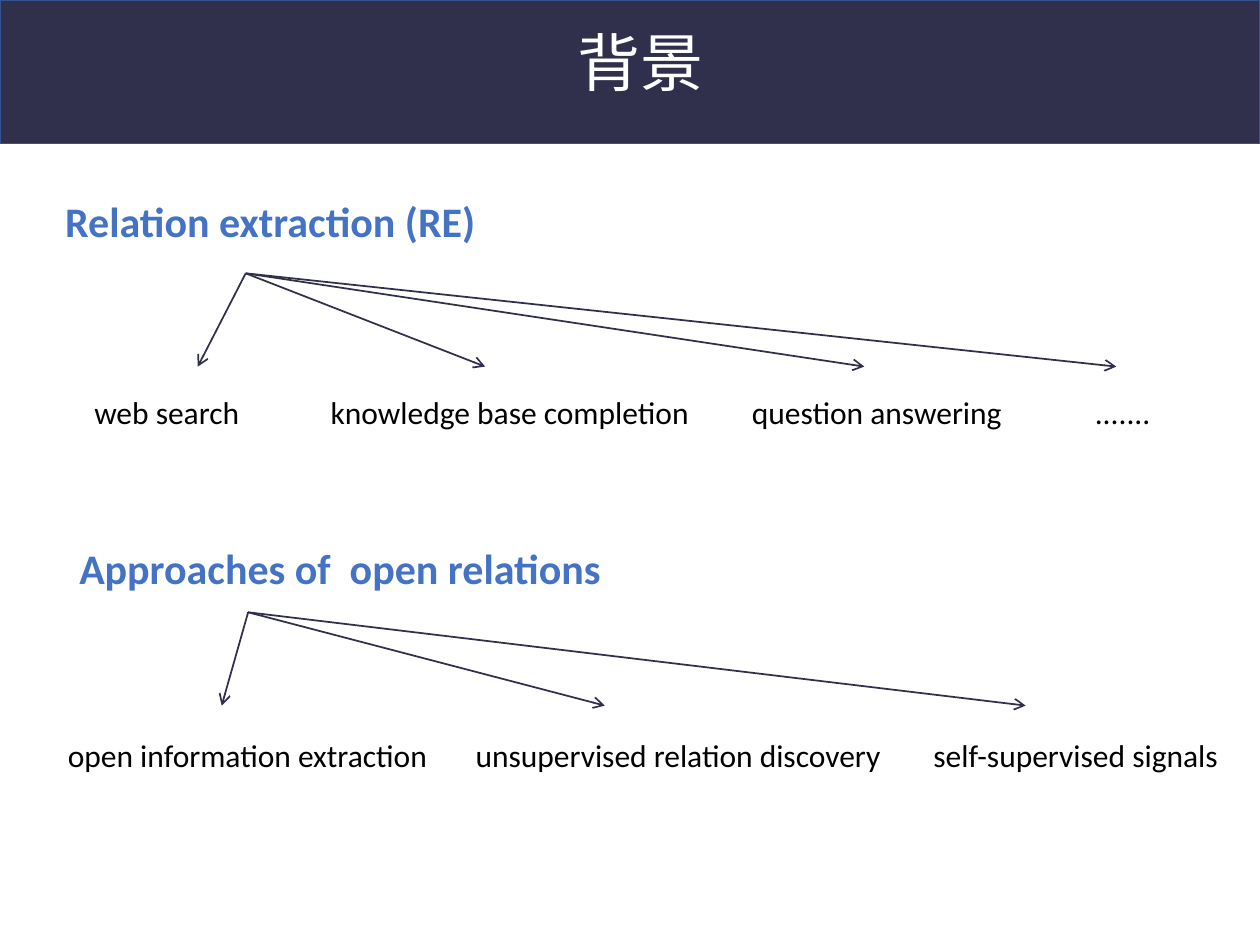
from pptx import Presentation
from pptx.dml.color import RGBColor
from pptx.enum.shapes import MSO_CONNECTOR as Connector, MSO_SHAPE as Shape
from pptx.enum.text import MSO_ANCHOR as Anchor, MSO_AUTO_SIZE as AutoSize, PP_ALIGN as Align
from pptx.oxml.ns import qn
from pptx.util import Pt
from lxml.etree import SubElement

NAVY = RGBColor(0x30, 0x30, 0x4C)
EDGE = RGBColor(0x32, 0x54, 0x91)
BLUE = RGBColor(0x44, 0x72, 0xC4)
BLACK = RGBColor(0, 0, 0)
WHITE = RGBColor(0xFF, 0xFF, 0xFF)

TITLE = {"name": "Arial", "size": Pt(36), "bold": False}
HEADING = {"name": "Calibri", "size": Pt(24), "bold": True}
ITEM = {"name": "Calibri", "size": Pt(18), "bold": False}


def write(box, text, style, color):
    frame = box.text_frame
    frame.word_wrap = True
    frame.auto_size = AutoSize.SHAPE_TO_FIT_TEXT
    frame.vertical_anchor = Anchor.TOP
    para = frame.paragraphs[0]
    span = para.add_run()
    span.text = text
    for key, value in style.items():
        setattr(span.font, key, value)
    span.font.color.rgb = color
    return para


def draw_arrow(page, start, end):
    arrow = page.shapes.add_connector(Connector.STRAIGHT, *map(Pt, start + end))
    arrow.line.color.rgb = NAVY
    arrow.line.width = Pt(1)
    SubElement(arrow.line._get_or_add_ln(), qn("a:tailEnd"), type="arrow")
    SubElement(arrow.element.spPr, qn("a:effectLst"))


deck = Presentation()
deck.slide_width, deck.slide_height = Pt(720), Pt(540)
page = deck.slides.add_slide(deck.slide_layouts[5])

# Title on a dark banner, with the banner behind it
title = page.shapes.title
title.left, title.top, title.width, title.height = map(Pt, (36.7, 10.1, 658.8, 51.1))
para = write(title, "背景", TITLE, WHITE)
para.alignment = Align.CENTER
para.line_spacing = 1

banner = page.shapes.add_shape(Shape.RECTANGLE, 0, 0, deck.slide_width, Pt(82.1))
banner.shadow.inherit = False
banner.fill.solid()
banner.fill.fore_color.rgb = NAVY
banner.line.color.rgb = EDGE
banner.line.width = Pt(1)
title.element.addprevious(banner.element)

# Each topic: heading, its box, arrow start, arrow end y, item top,
# then items as (text, left, width, arrow end x)
topics = [
    ("Relation extraction (RE)", (30.2, 108, 261.4, 36), (140.4, 156.2), 209.5, 221, [
        ("web search", 46.8, 110.2, 113),
        (" knowledge base completion", 177.8, 229.7, 277.2),
        ("question answering", 422.6, 162.7, 493.9),
        (".......", 618.5, 54, 637.9),
    ]),
    ("Approaches of  open relations", (38.2, 306.7, 385.2, 36), (141.8, 349.9), 403.2, 416.9, [
        ("open information extraction", 31.7, 226.8, 126.7),
        (" unsupervised relation discovery", 260.6, 265.7, 345.6),
        ("self-supervised signals", 526.3, 190.1, 586.1),
    ]),
]

for heading, place, start, end_y, item_top, items in topics:
    write(page.shapes.add_textbox(*map(Pt, place)), heading, HEADING, BLUE)
    for text, left, width, end_x in items:
        draw_arrow(page, start, (end_x, end_y))
        box = page.shapes.add_textbox(Pt(left), Pt(item_top), Pt(width), Pt(28.8))
        write(box, text, ITEM, BLACK)

deck.save("out.pptx")
